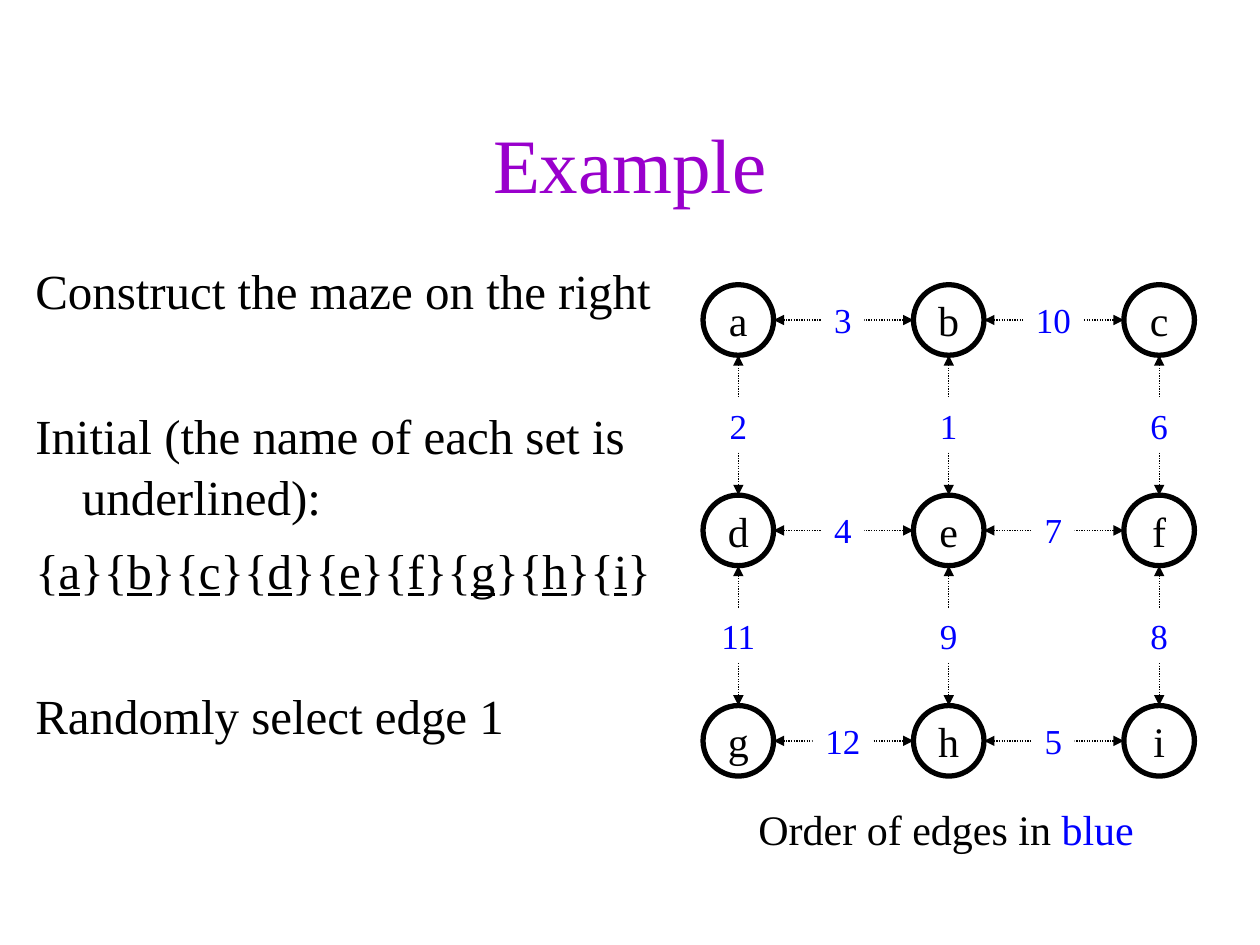
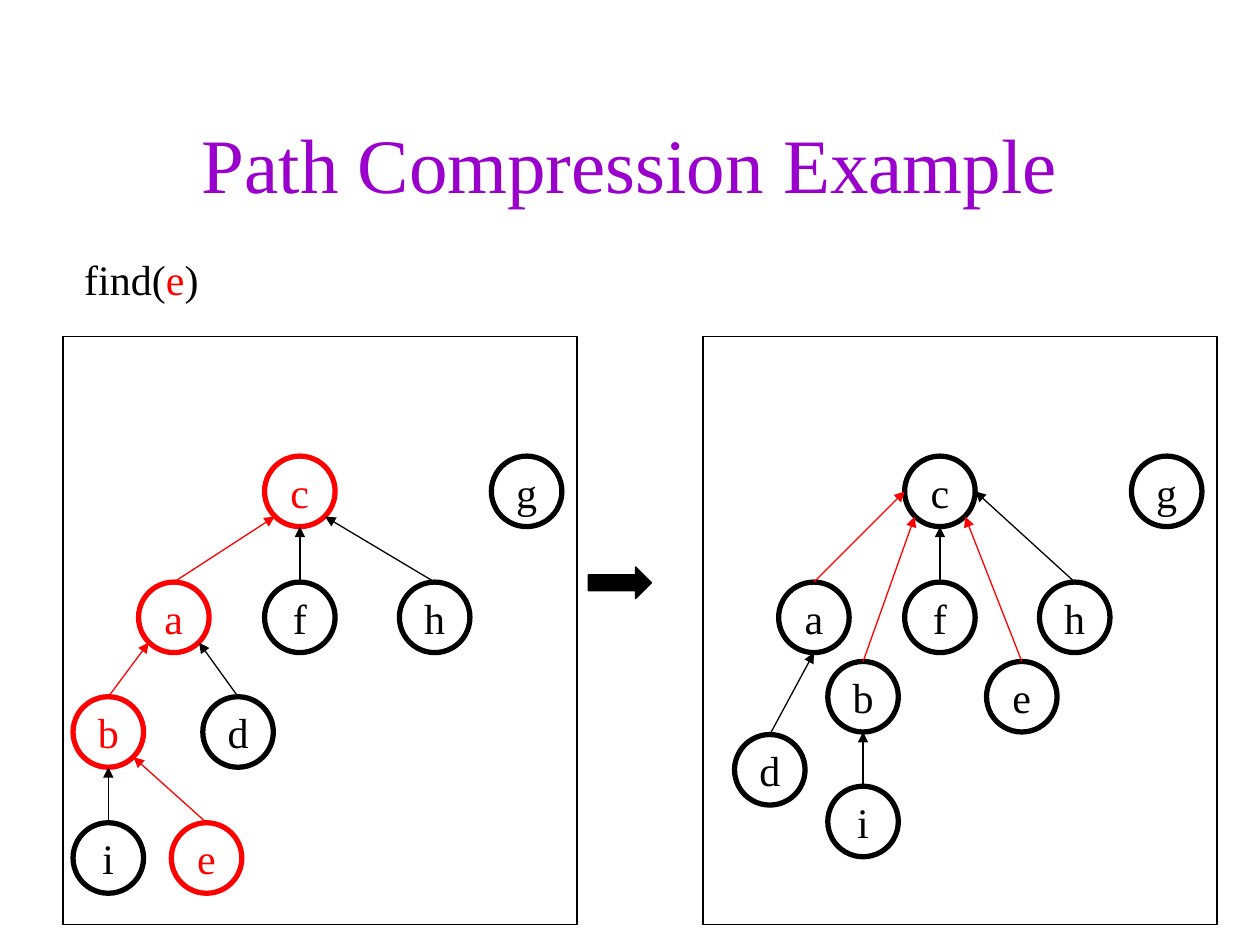
from enum import Enum
from math import sqrt
from typing import NamedTuple

from lxml.etree import SubElement
from pptx import Presentation
from pptx.dml.color import RGBColor
from pptx.enum.dml import MSO_LINE
from pptx.enum.shapes import MSO_CONNECTOR, MSO_SHAPE
from pptx.enum.text import MSO_ANCHOR, MSO_AUTO_SIZE, PP_ALIGN
from pptx.oxml.ns import qn
from pptx.util import Emu, Pt

EMU_PER_PX = 9144  # 100 px to the inch
FONT = "Times New Roman"
BLACK = RGBColor(0x00, 0x00, 0x00)
WHITE = RGBColor(0xFF, 0xFF, 0xFF)
RED = RGBColor(0xFF, 0x00, 0x00)
BLUE = RGBColor(0x00, 0x00, 0xFF)
PURPLE = RGBColor(0x99, 0x00, 0xCC)

RADIUS = 28
TITLE_ONLY, TITLE_AND_BODY = 5, 1
LINE_GAP, BLOCK_GAP = 7, 48

DIAG = sqrt(0.5)


class Site(Enum):
    """A point on a circle, as a direction from its centre."""
    TOP = (0, -1)
    LEFT = (-1, 0)
    BOTTOM = (0, 1)
    RIGHT = (1, 0)
    LOWER_LEFT = (-DIAG, DIAG)
    LOWER_RIGHT = (DIAG, DIAG)


class Point(NamedTuple):
    x: int
    y: int

    def at(self, site: Site) -> "Point":
        dx, dy = site.value
        return Point(round(self.x + RADIUS * dx), round(self.y + RADIUS * dy))


class Span(NamedTuple):
    text: str
    color: RGBColor = BLACK
    underline: bool = False


class Link(NamedTuple):
    child: str
    parent: str
    site: Site
    color: RGBColor = BLACK


class Forest(NamedTuple):
    left: int
    nodes: dict[str, Point]
    links: list[Link]
    red_nodes: str = ""


# Maze grid: the numbers give the order in which edges are chosen
MAZE_ROWS = ("abc", "def", "ghi")
MAZE_ORIGIN = Point(586, 254)
MAZE_PITCH = 167
ACROSS = ((3, 10), (4, 7), (12, 5))
DOWN = ((2, 1, 6), (11, 9, 8))

# Union-find forests: node centres are measured from the panel corner
PANEL_TOP, PANEL_WIDTH, PANEL_HEIGHT = 267, 408, 467
UNMOVED = {"c": Point(188, 123), "g": Point(368, 123), "a": Point(88, 223),
           "f": Point(188, 223), "h": Point(295, 223)}
BEFORE = Forest(
    50,
    UNMOVED | {"b": Point(36, 314), "d": Point(139, 314),
               "i": Point(36, 414), "e": Point(114, 414)},
    [Link("f", "c", Site.BOTTOM),
     Link("h", "c", Site.LOWER_RIGHT),
     Link("a", "c", Site.LOWER_LEFT, RED),
     Link("b", "a", Site.LOWER_LEFT, RED),
     Link("d", "a", Site.LOWER_RIGHT),
     Link("e", "b", Site.LOWER_RIGHT, RED),
     Link("i", "b", Site.BOTTOM)],
    red_nodes="cabe",
)
AFTER = Forest(
    558,
    UNMOVED | {"b": Point(127, 286), "e": Point(253, 286),
               "d": Point(53, 344), "i": Point(127, 385)},
    [Link("f", "c", Site.BOTTOM),
     Link("h", "c", Site.RIGHT),
     Link("a", "c", Site.LEFT, RED),
     Link("b", "c", Site.LOWER_LEFT, RED),
     Link("e", "c", Site.LOWER_RIGHT, RED),
     Link("d", "a", Site.BOTTOM),
     Link("i", "b", Site.BOTTOM)],
)


def px(length: int) -> Emu:
    return Emu(length * EMU_PER_PX)


def place(shape, left: int, top: int, width: int, height: int) -> None:
    shape.left, shape.top = px(left), px(top)
    shape.width, shape.height = px(width), px(height)


def set_font(para, size: int, color: RGBColor | None = None) -> None:
    para.font.name = FONT
    para.font.size = Pt(size)
    if color is not None:
        para.font.color.rgb = color


def add_spans(para, spans: list[Span], size: int) -> None:
    """Add runs; what they share is set on the paragraph."""
    colors = {span.color for span in spans}
    set_font(para, size, colors.pop() if len(colors) == 1 else None)
    for span in spans:
        run = para.add_run()
        run.text = span.text
        if colors:
            run.font.color.rgb = span.color
        if span.underline:
            run.font.underline = True


def add_page(deck, layout: int, title: str):
    page = deck.slides.add_slide(deck.slide_layouts[layout])
    box = page.shapes.title
    place(box, 75, 67, 850, 125)
    frame = box.text_frame
    frame.text = title
    frame.auto_size = MSO_AUTO_SIZE.NONE
    frame.vertical_anchor = MSO_ANCHOR.MIDDLE
    para = frame.paragraphs[0]
    para.alignment = PP_ALIGN.CENTER
    set_font(para, 44, PURPLE)
    return page


def add_body(page, blocks: list[tuple[int, list[Span]]]) -> None:
    """Fill the body placeholder from (space before, spans) pairs."""
    box = page.placeholders[1]
    place(box, 17, 200, 517, 450)
    frame = box.text_frame
    frame.auto_size = MSO_AUTO_SIZE.NONE
    for index, (gap, spans) in enumerate(blocks):
        para = frame.add_paragraph() if index else frame.paragraphs[0]
        props = para._p.get_or_add_pPr()
        props.set("marL", str(px(38)))
        props.set("indent", str(-px(37)))
        SubElement(props, qn("a:buNone"))
        para.space_before = Pt(gap)
        para.line_spacing = 1.04
        add_spans(para, spans, 28)


def add_note(page, left: int, top: int, width: int, spans: list[Span]) -> None:
    box = page.shapes.add_textbox(px(left), px(top), px(width), px(50))
    add_spans(box.text_frame.paragraphs[0], spans, 24)


def add_block(page, kind: MSO_SHAPE, left: int, top: int, width: int, height: int,
              fill: RGBColor | None, line: RGBColor | None, weight: float = 0.75):
    shape = page.shapes.add_shape(kind, px(left), px(top), px(width), px(height))
    shape.shadow.inherit = False
    if fill is None:
        shape.fill.background()
    else:
        shape.fill.solid()
        shape.fill.fore_color.rgb = fill
    if line is None:
        shape.line.fill.background()
    else:
        shape.line.color.rgb = line
        shape.line.width = Pt(weight)
    return shape


def add_caption(shape, text: str, size: int, color: RGBColor) -> None:
    frame = shape.text_frame
    frame.word_wrap = False
    frame.vertical_anchor = MSO_ANCHOR.MIDDLE
    para = frame.paragraphs[0]
    para.alignment = PP_ALIGN.CENTER
    add_spans(para, [Span(text, color)], size)


def add_node(page, name: str, center: Point, color: RGBColor = BLACK) -> None:
    circle = add_block(page, MSO_SHAPE.OVAL, center.x - RADIUS, center.y - RADIUS,
                       2 * RADIUS, 2 * RADIUS, None, color, 3)
    add_caption(circle, name, 24, color)


def add_arrow(page, start: Point, end: Point, color: RGBColor = BLACK,
              two_way: bool = False) -> None:
    """Draw an arrow; a two-way one is dotted."""
    arrow = page.shapes.add_connector(MSO_CONNECTOR.STRAIGHT, px(start.x), px(start.y),
                                      px(end.x), px(end.y))
    arrow.line.color.rgb = color
    arrow.line.width = Pt(0.75)
    if two_way:
        arrow.line.dash_style = MSO_LINE.ROUND_DOT
    line = arrow.line._get_or_add_ln()
    for tag in ("a:headEnd", "a:tailEnd") if two_way else ("a:tailEnd",):
        SubElement(line, qn(tag), type="triangle")
    SubElement(arrow._element.spPr, qn("a:effectLst"))


def add_edge_order(page, order: int, start: Point, end: Point) -> None:
    """Put the edge's number on a white patch at its middle."""
    width, height = (48 if order > 9 else 34), 43
    patch = add_block(page, MSO_SHAPE.RECTANGLE, (start.x + end.x - width) // 2,
                      (start.y + end.y - height) // 2, width, height, WHITE, None)
    add_caption(patch, str(order), 20, BLUE)


def maze_center(row: int, column: int) -> Point:
    return Point(MAZE_ORIGIN.x + column * MAZE_PITCH, MAZE_ORIGIN.y + row * MAZE_PITCH)


def add_maze(page) -> None:
    for row, names in enumerate(MAZE_ROWS):
        for column, name in enumerate(names):
            add_node(page, name, maze_center(row, column))
    for orders, (down, right), leave, arrive in (
        (ACROSS, (0, 1), Site.RIGHT, Site.LEFT),
        (DOWN, (1, 0), Site.BOTTOM, Site.TOP),
    ):
        for row, numbers in enumerate(orders):
            for column, order in enumerate(numbers):
                start = maze_center(row, column).at(leave)
                end = maze_center(row + down, column + right).at(arrive)
                add_arrow(page, start, end, two_way=True)
                add_edge_order(page, order, start, end)


def add_forest(page, forest: Forest) -> None:
    add_block(page, MSO_SHAPE.RECTANGLE, forest.left, PANEL_TOP,
              PANEL_WIDTH, PANEL_HEIGHT, WHITE, BLACK)
    centers = {name: Point(forest.left + node.x, PANEL_TOP + node.y)
               for name, node in forest.nodes.items()}
    for name, center in centers.items():
        add_node(page, name, center, RED if name in forest.red_nodes else BLACK)
    for link in forest.links:
        add_arrow(page, centers[link.child].at(Site.TOP),
                  centers[link.parent].at(link.site), link.color)


def build_maze_page(deck) -> None:
    page = add_page(deck, TITLE_AND_BODY, "Example")
    sets = [Span("{")]
    for name in "abcdefghi":
        sets += [Span(name, underline=True), Span("}" if name == "i" else "}{")]
    add_body(page, [
        (0, [Span("Construct the maze on the right")]),
        (BLOCK_GAP, [Span("Initial (the name of each set is underlined):")]),
        (LINE_GAP, sets),
        (BLOCK_GAP, [Span("Randomly select edge 1")]),
    ])
    add_note(page, 592, 633, 318, [Span("Order of edges in "), Span("blue", BLUE)])
    add_maze(page)


def build_compression_page(deck) -> None:
    page = add_page(deck, TITLE_ONLY, "Path Compression Example")
    add_note(page, 57, 196, 111, [Span("find("), Span("e", RED), Span(")")])
    for forest in (BEFORE, AFTER):
        add_forest(page, forest)
    add_block(page, MSO_SHAPE.RIGHT_ARROW, 467, 450, 50, 25, BLACK, BLACK)


def main() -> None:
    deck = Presentation()
    deck.slide_width, deck.slide_height = px(1000), px(750)
    build_maze_page(deck)
    build_compression_page(deck)
    deck.save("out.pptx")


if __name__ == "__main__":
    main()
